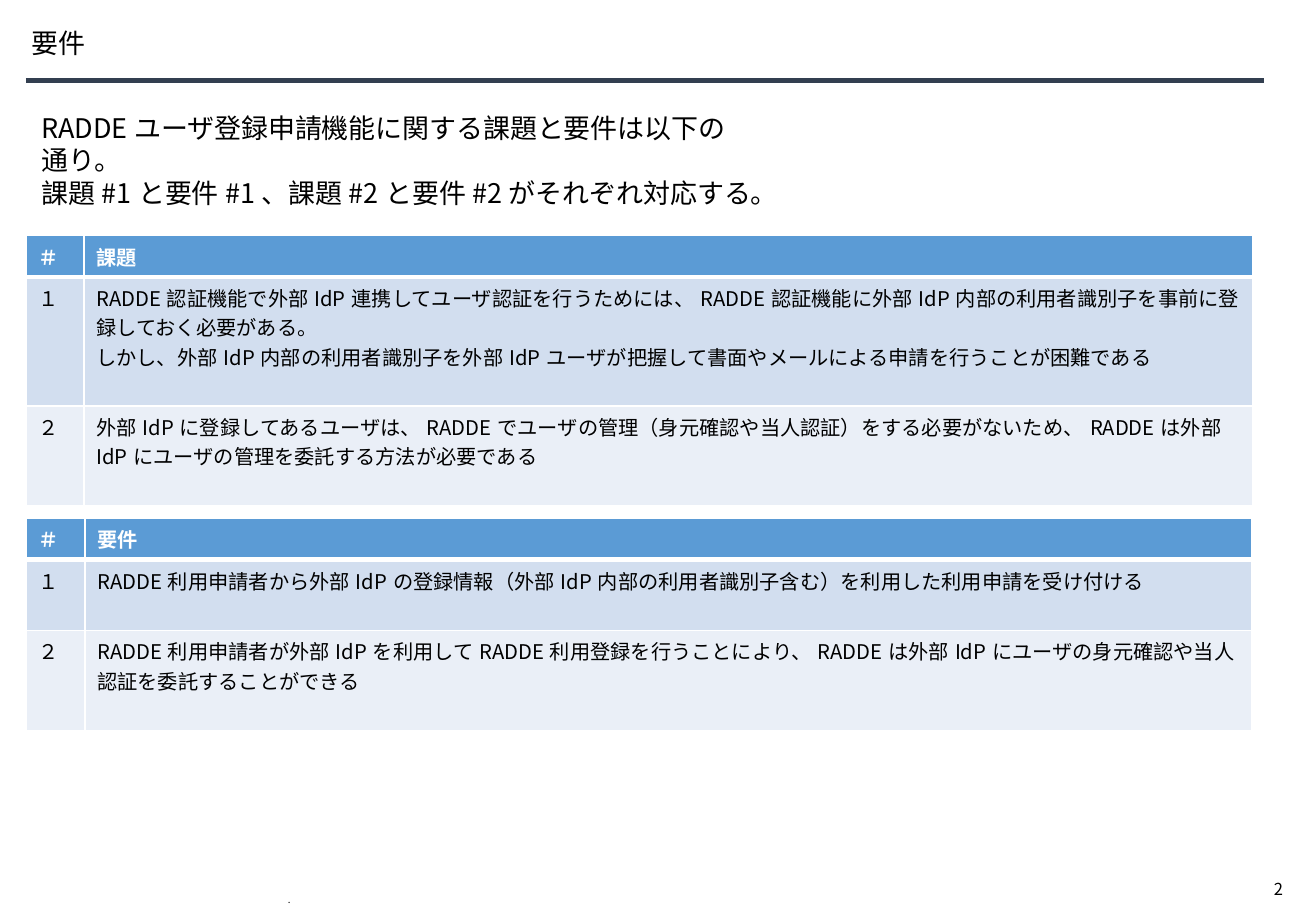
from pptx import Presentation
from pptx.util import Cm, Pt
from pptx.dml.color import RGBColor as Rgb
from pptx.enum.shapes import MSO_CONNECTOR as Link
from pptx.enum.text import MSO_ANCHOR as Anchor, PP_ALIGN as Align
from lxml.etree import SubElement as Sub

FACE = "Noto Sans CJK JP"
NS = "{http://schemas.openxmlformats.org/drawingml/2006/main}"
HEAD, BANDS = "5B9BD5", ("D2DEEF", "EAEFF7")
EDGES = {"lnL": 1, "lnR": 1, "lnT": 1, "lnB": 3}


def color(code):
    return Rgb.from_string(code)


def write(frame, text, size, ink="000000", bold=False, gap=None):
    """Fill a text frame and format all its runs alike."""
    frame.text = text
    frame.word_wrap = True
    for para in frame.paragraphs:
        para.alignment = Align.LEFT
        para.line_spacing = gap
        for run in para.runs:
            font = run.font
            font.size, font.bold, font.name = Pt(size), bold, FACE
            font.color.rgb = color(ink)
            Sub(font._element, NS + "ea", typeface=FACE)


deck = Presentation()
deck.slide_width, deck.slide_height = Cm(27.52), Cm(19.05)
slide = deck.slides.add_slide(deck.slide_layouts[5])
shapes = slide.shapes

# Title and rule
title = shapes.title
title.left, title.top, title.width, title.height = Cm(0.66), Cm(0.33), Cm(25.2), Cm(1.2)
write(title.text_frame, "要件", 16, gap=0.9)
title.text_frame.margin_left = 0
title.text_frame.vertical_anchor = Anchor.MIDDLE

rule = shapes.add_connector(Link.STRAIGHT, Cm(0.54), Cm(1.68), Cm(26.43), Cm(1.68))
rule.line.color.rgb = color("333F50")
rule.line.width = Pt(3)
Sub(rule._element.spPr, NS + "effectLst")

# Introduction, footer mark and page number
intro = (
    "RADDEユーザ登録申請機能に関する課題と要件は以下の通り。\n"
    "課題#1と要件#1、課題#2と要件#2がそれぞれ対応する。"
)
notes = [
    (0.62, 2.21, 15.37, 1.63, intro, 16, None, Anchor.TOP),
    (5.77, 18.69, 16, 0.36, ".", 5.7, Pt(1.6), Anchor.BOTTOM),
    (26.39, 18.26, 1.09, 0.69, "2", 9.8, None, Anchor.TOP),
]
for left, top, width, height, text, size, gap, anchor in notes:
    box = shapes.add_textbox(Cm(left), Cm(top), Cm(width), Cm(height))
    write(box.text_frame, text, size, gap=gap)
    box.text_frame.vertical_anchor = anchor

# Issues and requirements
issues = [
    ("＃", "課題"),
    ("１", "RADDE認証機能で外部IdP連携してユーザ認証を行うためには、RADDE認証機能に"
           "外部IdP内部の利用者識別子を事前に登録しておく必要がある。\n"
           "しかし、外部IdP内部の利用者識別子を外部IdPユーザが把握して"
           "書面やメールによる申請を行うことが困難である"),
    ("２", "外部IdPに登録してあるユーザは、RADDEでユーザの管理（身元確認や当人認証）を"
           "する必要がないため、RADDEは外部IdPにユーザの管理を委託する方法が必要である"),
]
needs = [
    ("＃", "要件"),
    ("１", "RADDE利用申請者から外部IdPの登録情報（外部IdP内部の利用者識別子含む）を"
           "利用した利用申請を受け付ける"),
    ("２", "RADDE利用申請者が外部IdPを利用してRADDE利用登録を行うことにより、"
           "RADDEは外部IdPにユーザの身元確認や当人認証を委託することができる"),
]
tables = [
    (4.93, (1.2, 24.43), (0.86, 2.7, 2.09), issues),
    (10.84, (1.22, 24.39), (0.86, 1.48, 2.09), needs),
]
for top, widths, heights, rows in tables:
    grid = shapes.add_table(
        len(rows), 2, Cm(0.56), Cm(top), Cm(sum(widths)), Cm(sum(heights))
    ).table
    for col, width in zip(grid.columns, widths):
        col.width = Cm(width)
    for i, texts in enumerate(rows):
        grid.rows[i].height = Cm(heights[i])
        first = i == 0
        for j, text in enumerate(texts):
            cell = grid.cell(i, j)
            if first:
                props = cell._tc.get_or_add_tcPr()
                for tag, weight in EDGES.items():
                    edge = Sub(props, NS + tag, w=str(Pt(weight)))
                    Sub(Sub(edge, NS + "solidFill"), NS + "srgbClr", val="FFFFFF")
            cell.fill.solid()
            cell.fill.fore_color.rgb = color(HEAD if first else BANDS[(i - 1) % 2])
            write(cell.text_frame, text, 12, "FFFFFF" if first else "000000", first)
            if first:
                # Schema order: the borders come before the fill
                props.append(props.find(NS + "solidFill"))

deck.save("out.pptx")
